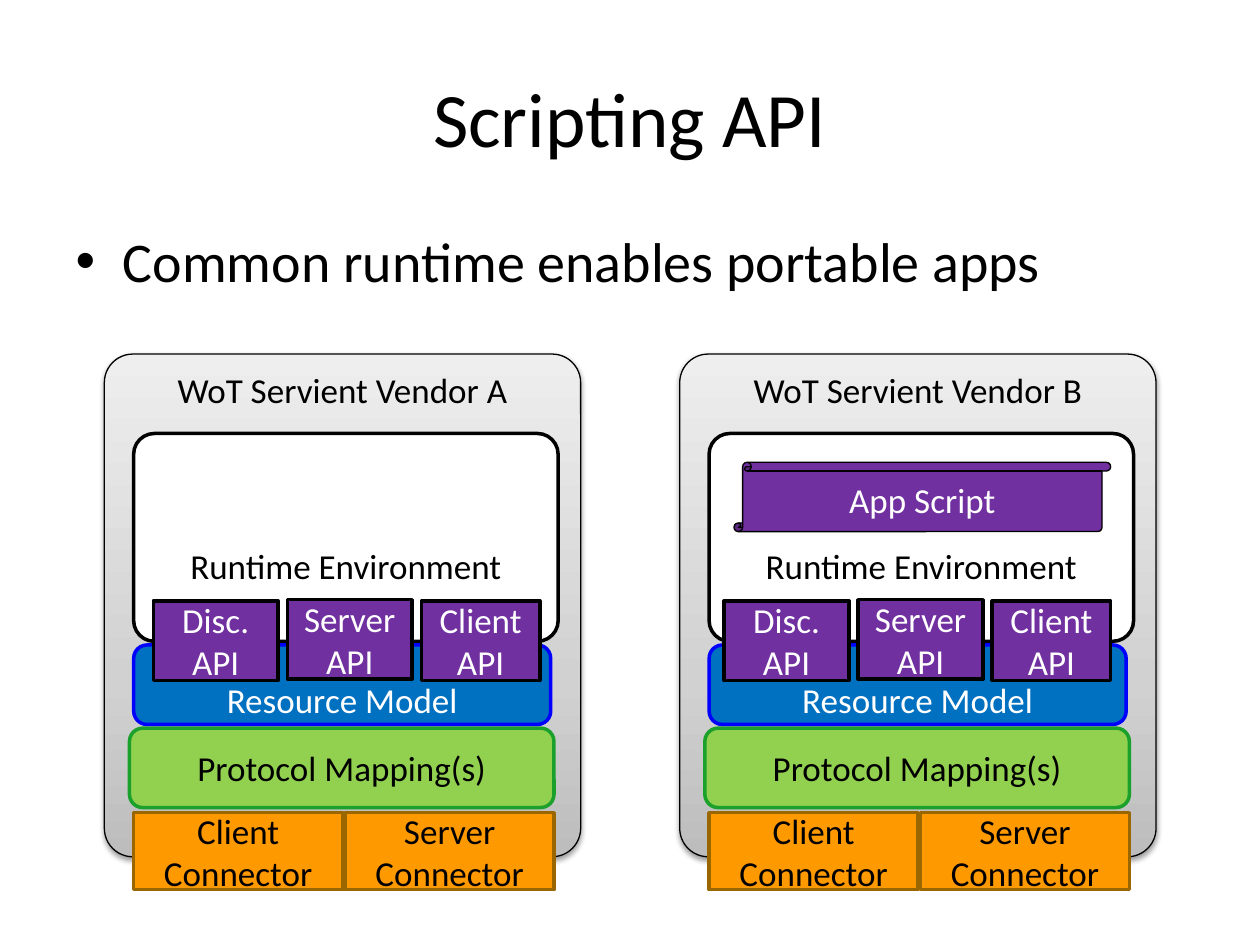
from copy import deepcopy

from lxml.etree import SubElement
from pptx import Presentation
from pptx.dml.color import RGBColor
from pptx.enum.shapes import MSO_SHAPE as Geometry
from pptx.enum.text import MSO_ANCHOR as Anchor, PP_ALIGN as Align
from pptx.oxml.ns import qn
from pptx.util import Pt

FONT = "Calibri"
BLACK = RGBColor(0x00, 0x00, 0x00)
WHITE = RGBColor(0xFF, 0xFF, 0xFF)
PURPLE = RGBColor(0x70, 0x30, 0xA0)
BLUE = RGBColor(0x00, 0x70, 0xC0)
BLUE_EDGE = RGBColor(0x00, 0x00, 0xFF)
GREEN = RGBColor(0x92, 0xD0, 0x50)
GREEN_EDGE = RGBColor(0x1B, 0xA1, 0x2B)
ORANGE = RGBColor(0xFF, 0x99, 0x00)
ORANGE_EDGE = RGBColor(0x99, 0x66, 0x00)
PANEL_STOPS = (
    (0, RGBColor(0xBD, 0xBD, 0xBD)),
    (0.35, RGBColor(0xD1, 0xD1, 0xD1)),
    (1, RGBColor(0xEE, 0xEE, 0xEE)),
)


def place(part, box):
    """Move and size a part to a box given in points."""
    part.left, part.top, part.width, part.height = (Pt(v) for v in box)


def write_lines(paragraph, text, size, color, align):
    """Write one run per line of text, with breaks between them."""
    paragraph.alignment = align
    for index, line in enumerate(text.split("\n")):
        if index:
            paragraph.add_line_break()
        run = paragraph.add_run()
        run.text = line
        run.font.name = FONT
        run.font.size = Pt(size)
        run.font.color.rgb = color


def add_block(slide, box, text, fill, edge, color=BLACK, corner=None, weight=2,
              anchor=Anchor.MIDDLE, bottom=3.6, wrap=True, geometry=Geometry.ROUNDED_RECTANGLE):
    """Add a labelled block; a fill of None leaves the fill to the caller."""
    block = slide.shapes.add_shape(geometry, *(Pt(v) for v in box))
    block.shadow.inherit = False
    if fill is not None:
        block.fill.solid()
        block.fill.fore_color.rgb = fill
    block.line.color.rgb = edge
    block.line.width = Pt(weight)
    if corner is not None:
        block.adjustments[0] = corner
    frame = block.text_frame
    frame.word_wrap = wrap
    frame.vertical_anchor = anchor
    frame.margin_bottom = Pt(bottom)
    write_lines(frame.paragraphs[0], text, 20, color, Align.CENTER)
    return block


def add_panel(slide, box, text):
    """Add the grey gradient panel with its soft shadow."""
    panel = add_block(slide, box, text, None, BLACK, corner=0.06, weight=0.75,
                      anchor=Anchor.TOP, wrap=False)
    panel.fill.gradient()
    panel.fill.gradient_angle = 90
    properties = panel._element.spPr
    stops = properties.find(qn("a:gradFill")).find(qn("a:gsLst"))
    stops.append(deepcopy(stops[0]))
    for stop, (position, color) in zip(panel.fill.gradient_stops, PANEL_STOPS):
        stop.position = position
        stop.color.rgb = color
    shadow = SubElement(properties.find(qn("a:effectLst")), qn("a:outerShdw"),
                        blurRad=str(Pt(3.1)), dist=str(Pt(1.6)), dir="5400000", rotWithShape="0")
    shade = SubElement(shadow, qn("a:srgbClr"), val=str(BLACK))
    SubElement(shade, qn("a:alpha"), val="38000")


def add_servient(slide, box, vendor, api_inset, has_script=False):
    """Build one servient stack inside its box."""
    left, top, width, height = box
    inner = left + 16.8
    add_panel(slide, box, f"WoT Servient Vendor {vendor}")
    add_block(slide, (inner, top + 45.4, 242.6, 118.8), "Runtime Environment", WHITE, BLACK,
              corner=0.1, anchor=Anchor.BOTTOM, bottom=28)
    for column, role in enumerate(("Client", "Server")):
        add_block(slide, (inner + column * 120.8, top + 262.1, 119.5, 44), f"{role}\nConnector",
                  ORANGE, ORANGE_EDGE, corner=0)
    add_block(slide, (left + 14.4, top + 213.8, 242.6, 45.4), "Protocol Mapping(s)",
              GREEN, GREEN_EDGE)
    add_block(slide, (inner, top + 166.3, 238.3, 45.4), "Resource Model", BLUE, BLUE_EDGE,
              WHITE, anchor=Anchor.BOTTOM, bottom=0)
    if has_script:
        add_block(slide, (left + 31, top + 61.9, 215.3, 39.6), "App Script", PURPLE, BLACK,
                  WHITE, weight=0.75, wrap=False, geometry=Geometry.VERTICAL_SCROLL)
    apis = (("Disc.", 71.3, 141.1), ("Server", 71.3, 140.4), ("Client", 67.7, 141.1))
    for column, (role, api_width, offset) in enumerate(apis):
        add_block(slide, (left + api_inset + column * 76.6, top + offset, api_width, 45.4),
                  f"{role}\nAPI", PURPLE, BLACK, WHITE, corner=0)


def add_heading(slide, title_box, body_box):
    """Fill the title and body placeholders."""
    title, body = slide.shapes.title, slide.placeholders[1]
    place(title, title_box)
    title.text_frame.vertical_anchor = Anchor.MIDDLE
    write_lines(title.text_frame.paragraphs[0], "Scripting API", 44, BLACK, Align.CENTER)
    place(body, body_box)
    bullet = body.text_frame.paragraphs[0]
    bullet.space_before = Pt(0)
    write_lines(bullet, "Common runtime enables portable apps", 32, BLACK, Align.LEFT)


def main():
    """Build and save the slide."""
    deck = Presentation()
    deck.slide_width, deck.slide_height = Pt(720), Pt(540)
    slide = deck.slides.add_slide(deck.slide_layouts[1])
    add_heading(slide, (36, 21.6, 648, 90), (36, 126, 648, 356.4))
    add_servient(slide, (59.6, 202.3, 272.2, 287.3), "A", 28)
    add_servient(slide, (388.4, 202.3, 272.2, 287.3), "B", 25.4, has_script=True)
    deck.save("out.pptx")


if __name__ == "__main__":
    main()
